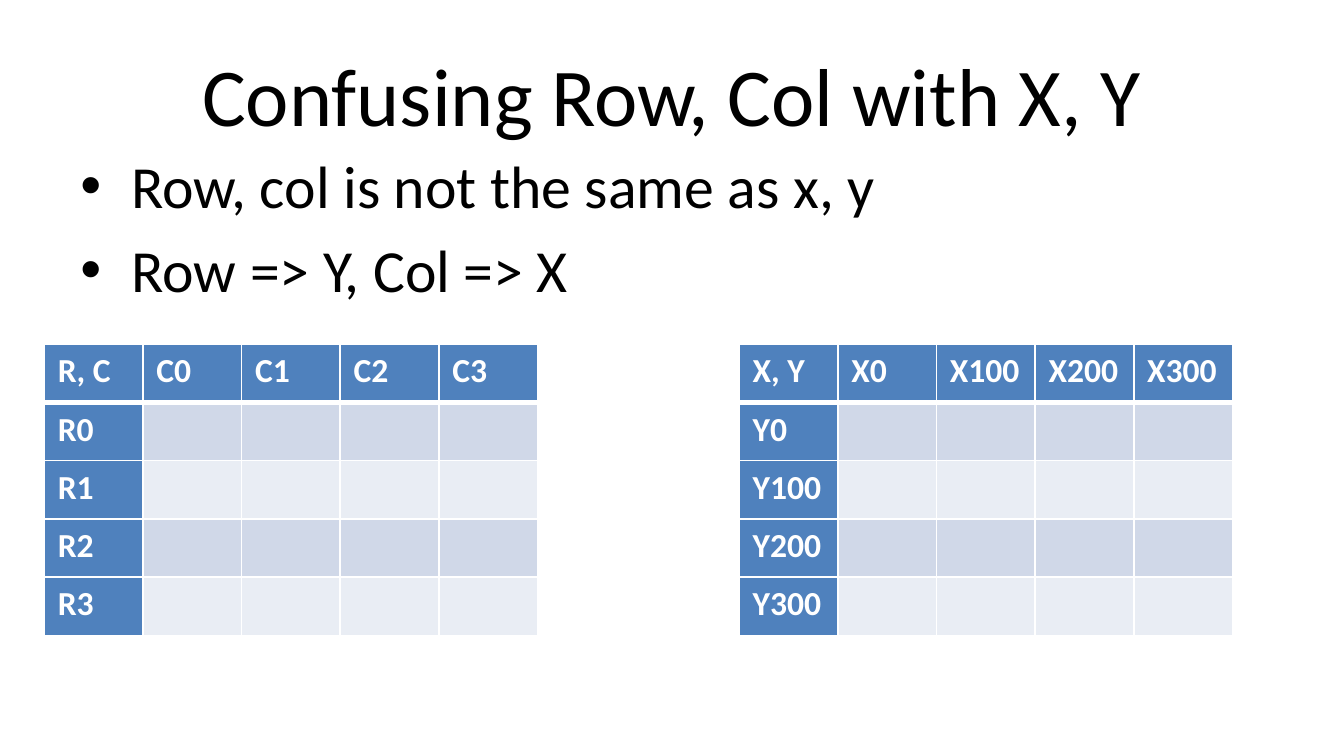
from lxml.etree import SubElement
from pptx import Presentation
from pptx.dml.color import RGBColor
from pptx.enum.text import MSO_ANCHOR, PP_ALIGN
from pptx.oxml.ns import qn
from pptx.util import Inches, Pt

TITLE = "Confusing Row, Col with X, Y"
POINTS = ["Row, col is not the same as x, y", "Row => Y, Col => X"]
GRIDS = [
    {"left": 0.33, "columns": ["R, C", "C0", "C1", "C2", "C3"],
     "rows": ["R0", "R1", "R2", "R3"]},
    {"left": 5.5, "columns": ["X, Y", "X0", "X100", "X200", "X300"],
     "rows": ["Y0", "Y100", "Y200", "Y300"]},
]
SLIDE_WIDTH = 10
SLIDE_HEIGHT = SLIDE_WIDTH * 9 / 16
GRID_TOP, GRID_WIDTH, GRID_HEIGHT = 2.56, 3.67, 2.17
COLOURS = {"text": "000000", "header": "4F81BD", "header_text": "FFFFFF",
           "border": "FFFFFF", "odd_band": "D0D8E8", "even_band": "E9EDF4"}
FONT = "Calibri"


def set_font(paragraph, size, colour, bold=False):
    font = paragraph.font
    font.name, font.size, font.bold = FONT, Pt(size), bold
    font.color.rgb = RGBColor.from_string(COLOURS[colour])


def add_bullet(paragraph):
    properties = paragraph._p.get_or_add_pPr()
    properties.set("marL", str(Inches(0.38)))
    properties.set("indent", str(Inches(-0.38)))
    SubElement(properties, qn("a:buFont"), typeface="Arial")
    SubElement(properties, qn("a:buChar"), char="•")


def set_borders(cell, row):
    """Draw thin borders, with a thick rule between header and body."""
    widths = {"L": 1, "R": 1, "T": 3 if row == 1 else 1, "B": 3 if row == 0 else 1}
    properties = cell._tc.get_or_add_tcPr()
    for side, width in widths.items():
        line = SubElement(properties, qn(f"a:ln{side}"), w=str(Pt(width)))
        fill = SubElement(line, qn("a:solidFill"))
        SubElement(fill, qn("a:srgbClr"), val=COLOURS["border"])


def add_grid(slide, left, columns, rows):
    labels = [columns] + [[label] + [""] * (len(columns) - 1) for label in rows]
    table = slide.shapes.add_table(
        len(labels), len(columns), Inches(left), Inches(GRID_TOP),
        Inches(GRID_WIDTH), Inches(GRID_HEIGHT)).table
    table.first_col = True
    for r, row_labels in enumerate(labels):
        for c, label in enumerate(row_labels):
            cell = table.cell(r, c)
            set_borders(cell, r)
            band = "odd_band" if r % 2 else "even_band"
            colour = "header" if r == 0 or c == 0 else band
            cell.fill.solid()
            cell.fill.fore_color.rgb = RGBColor.from_string(COLOURS[colour])
            if label:
                cell.text = label
                set_font(cell.text_frame.paragraphs[0], 18, "header_text", bold=True)


def main():
    deck = Presentation()
    deck.slide_width, deck.slide_height = Inches(SLIDE_WIDTH), Inches(SLIDE_HEIGHT)
    slide = deck.slides.add_slide(deck.slide_layouts[5])

    title = slide.shapes.title
    title.left, title.top = Inches(0.5), Inches(0.23)
    title.width, title.height = Inches(9), Inches(0.94)
    title.text = TITLE
    title.text_frame.vertical_anchor = MSO_ANCHOR.MIDDLE
    heading = title.text_frame.paragraphs[0]
    heading.alignment = PP_ALIGN.CENTER
    set_font(heading, 44, "text")

    body = slide.shapes.add_textbox(
        Inches(0.5), Inches(1.06), Inches(9), Inches(3.71)).text_frame
    body.word_wrap = True
    body.text = "\n".join(POINTS)
    for index, point in enumerate(body.paragraphs):
        add_bullet(point)
        point.space_before = Pt(6.4 if index else 0)
        set_font(point, 32, "text")

    for grid in GRIDS:
        add_grid(slide, **grid)
    deck.save("out.pptx")


if __name__ == "__main__":
    main()
